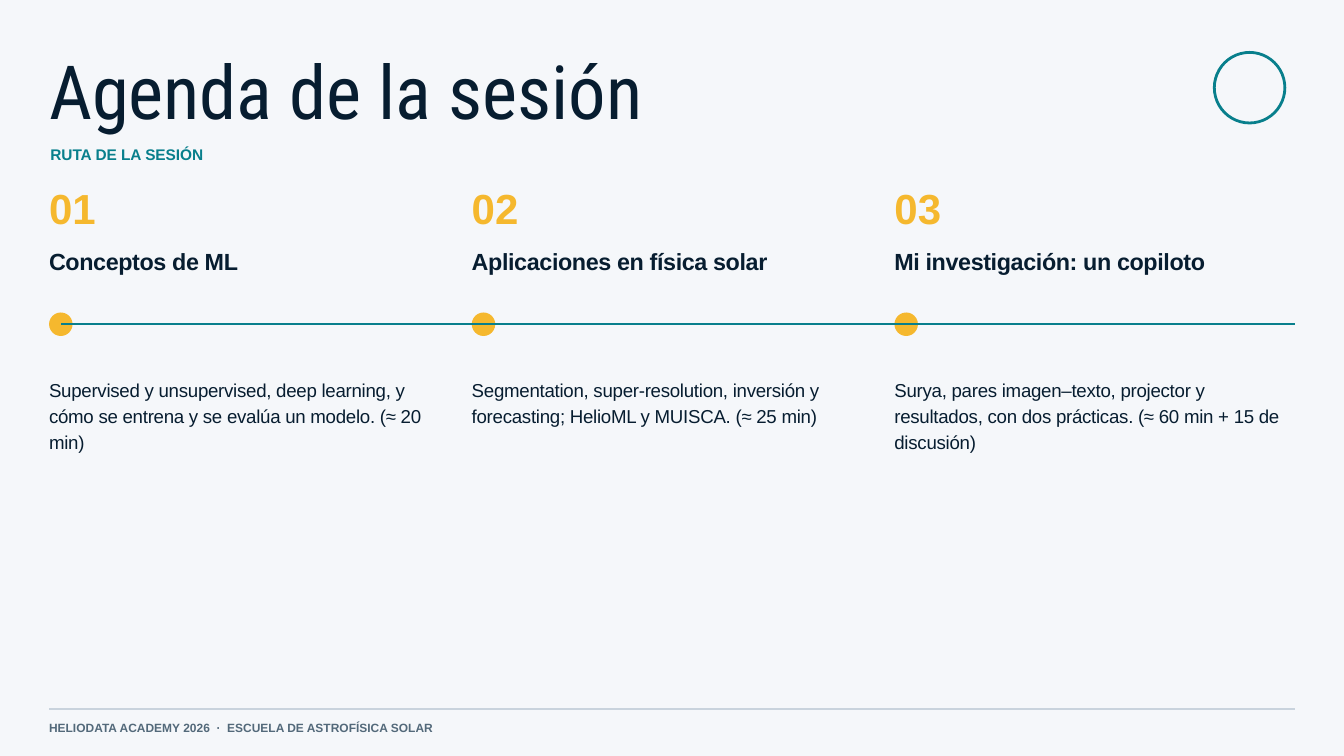
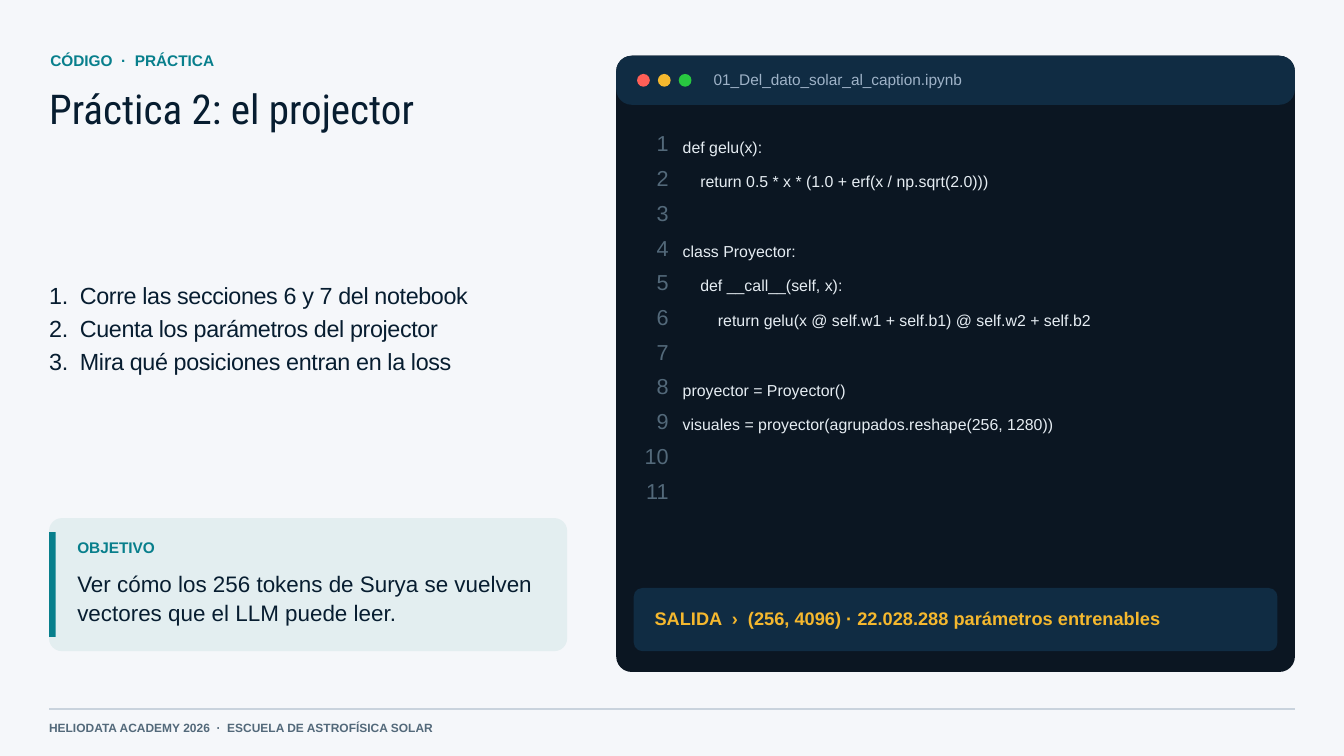
from lxml import etree
from pptx import Presentation, util as u
from pptx.dml.color import RGBColor
from pptx.enum import shapes, text
from pptx.oxml import ns

NAVY, TEAL, AMBER, SLATE = "071D30", "087F8C", "F5B82E", "53697A"
PAPER, RULE, MIST = "F5F7FA", "C9D3DD", "E3EEF0"
EDITOR, PANEL, CODE, FILE = "0B1622", "102C43", "E6EDF3", "9FB3C8"
LEFT, RIGHT = 0.73, 19.27
TITLE_FONT = "Roboto Condensed"


def color(value):
    return RGBColor.from_string(value)


def write(paragraph, content, size=20, fill=NAVY, font="Arial", bold=False, line=None,
          spacing=0, align=None, before=0, number_indent=0):
    if number_indent:
        properties = paragraph._p.get_or_add_pPr()
        indent = u.Inches(number_indent)
        properties.set("marL", str(indent))
        properties.set("indent", str(-indent))
        etree.SubElement(properties, ns.qn("a:buAutoNum"), type="arabicPeriod")
    paragraph.alignment = align
    paragraph.line_spacing = u.Pt(line or size * 1.4)
    if before:
        paragraph.space_before = u.Pt(before)
    run = paragraph.add_run()
    run.text = content
    run.font.size = u.Pt(size)
    run.font.name = font
    run.font.bold = bold
    run.font.color.rgb = color(fill)
    if spacing:
        run._r.get_or_add_rPr().set("spc", str(round(spacing * 100)))


class Deck:
    """Holds the shared style and the current slide."""

    def __init__(self):
        self.presentation = Presentation()
        self.presentation.slide_width = u.Inches(20)
        self.presentation.slide_height = u.Inches(11.25)
        self.slide = None

    def new_slide(self):
        self.slide = self.presentation.slides.add_slide(self.presentation.slide_layouts[6])
        background = self.slide.background.fill
        background.solid()
        background.fore_color.rgb = color(PAPER)
        self.line(LEFT, 10.55, RIGHT, RULE, 1.5)
        self.text("HELIODATA ACADEMY 2026  ·  ESCUELA DE ASTROFÍSICA SOLAR",
                  LEFT, 10.69, 10.42, 0.25, size=12.8, fill=SLATE, bold=True)

    def text(self, lines, left, top, width, height, **style):
        box = self.slide.shapes.add_textbox(*map(u.Inches, (left, top, width, height)))
        frame = box.text_frame
        frame.word_wrap = True
        frame.auto_size = text.MSO_AUTO_SIZE.SHAPE_TO_FIT_TEXT
        frame.margin_left = frame.margin_right = frame.margin_top = frame.margin_bottom = 0
        gap = 0
        first = True
        for content in [lines] if isinstance(lines, str) else lines:
            if not content:
                gap += style["line"]
                continue
            paragraph = frame.paragraphs[0] if first else frame.add_paragraph()
            write(paragraph, content, before=gap, **style)
            first, gap = False, 0

    def title(self, content, top, height, size, line):
        self.text(content, LEFT, top, 18.54 if size > 50 else 7.53, height,
                  size=size, line=line, font=TITLE_FONT)

    def label(self, content, left, top, width):
        self.text(content, left, top, width, 0.33, size=16.5, fill=TEAL, bold=True)

    def shape(self, kind, left, top, width, height, fill=None, outline=None):
        shape = self.slide.shapes.add_shape(kind, *map(u.Inches, (left, top, width, height)))
        shape.shadow.inherit = False
        if fill:
            shape.fill.solid()
            shape.fill.fore_color.rgb = color(fill)
        else:
            shape.fill.background()
        if outline:
            shape.line.color.rgb = color(outline)
            shape.line.width = u.Pt(3)
        else:
            shape.line.fill.background()
        return shape

    def dot(self, left, top, size, fill):
        self.shape(shapes.MSO_SHAPE.OVAL, left, top, size, size, fill)

    def panel(self, left, top, width, height, fill, radius):
        panel = self.shape(shapes.MSO_SHAPE.ROUNDED_RECTANGLE, left, top, width, height, fill)
        panel.adjustments[0] = radius / min(width, height)

    def line(self, start, top, end, fill, weight):
        connector = self.slide.shapes.add_connector(
            shapes.MSO_CONNECTOR.STRAIGHT, *map(u.Inches, (start, top, end, top)))
        connector.line.color.rgb = color(fill)
        connector.line.width = u.Pt(weight)
        etree.SubElement(connector._element.spPr, ns.qn("a:effectLst"))


def build_agenda(deck):
    deck.new_slide()
    deck.title("Agenda de la sesión", 0.89, 1.17, 80, 80)
    deck.label("RUTA DE LA SESIÓN", 0.75, 2.12, 8.33)
    deck.shape(shapes.MSO_SHAPE.OVAL, 18.07, 0.78, 1.05, 1.05, outline=TEAL)
    stages = [
        ("Conceptos de ML", "Supervised y unsupervised, deep learning, y cómo se entrena "
         "y se evalúa un modelo. (≈ 20 min)"),
        ("Aplicaciones en física solar", "Segmentation, super-resolution, inversión y "
         "forecasting; HelioML y MUISCA. (≈ 25 min)"),
        ("Mi investigación: un copiloto", "Surya, pares imagen–texto, projector y "
         "resultados, con dos prácticas. (≈ 60 min + 15 de discusión)"),
    ]
    for index, (heading, summary) in enumerate(stages):
        left = LEFT + 6.29 * index
        deck.text(f"{index + 1:02}", left, 2.59, 2.08, 0.86, size=45, fill=AMBER, bold=True)
        deck.text(heading, left, 3.68, 5.96, 0.43, size=25, line=30, bold=True, spacing=-0.4)
        deck.dot(left, 4.65, 0.35, AMBER)
        deck.text(summary, left, 5.58, 5.96, 0.76, spacing=-0.3)
    deck.line(0.91, 4.82, RIGHT, TEAL, 2.25)


def build_practice(deck):
    deck.new_slide()
    deck.label("CÓDIGO  ·  PRÁCTICA", 0.75, 0.72, 7.29)
    deck.title("Práctica 2: el projector", 1.3, 0.95, 44, 48.4)
    deck.text(["Corre las secciones 6 y 7 del notebook", "Cuenta los parámetros del projector",
               "Mira qué posiciones entran en la loss"],
              LEFT, 4.12, 7.53, 1.41, size=25, spacing=-0.4, number_indent=0.46)

    deck.panel(LEFT, 7.71, 7.71, 1.98, MIST, 0.19)
    deck.shape(shapes.MSO_SHAPE.RECTANGLE, LEFT, 7.92, 0.1, 1.56, TEAL)
    deck.label("OBJETIVO", 1.15, 7.96, 6.25)
    deck.text("Ver cómo los 256 tokens de Surya se vuelven vectores que el LLM puede leer.",
              1.15, 8.45, 7.08, 0.44, size=24, line=31.2)

    deck.panel(9.17, 0.83, 10.1, 9.17, EDITOR, 0.23)
    deck.panel(9.17, 0.83, 10.1, 0.73, PANEL, 0.23)
    for index, fill in enumerate(("FF5F57", AMBER, "28C840")):
        deck.dot(9.48 + 0.31 * index, 1.1, 0.19, fill)
    deck.text("01_Del_dato_solar_al_caption.ipynb", 10.62, 0.99, 6.25, 0.33,
              size=16.5, fill=FILE)
    deck.text([str(number) for number in range(1, 12)], 9.43, 1.81, 0.52, 5.6,
              size=23.2, fill=SLATE, line=37.2, align=text.PP_ALIGN.RIGHT)
    code = [
        "def gelu(x):",
        "    return 0.5 * x * (1.0 + erf(x / np.sqrt(2.0)))",
        "",
        "class Proyector:",
        "    def __call__(self, x):",
        "        return gelu(x @ self.w1 + self.b1) @ self.w2 + self.b2",
        "",
        "proyector = Proyector()",
        "visuales = proyector(agrupados.reshape(256, 1280))",
    ]
    deck.text(code, 10.16, 1.81, 8.85, 5.6, size=17, fill=CODE, line=37.2)
    deck.panel(9.43, 8.75, 9.58, 0.94, PANEL, 0.13)
    deck.text("SALIDA  ›  (256, 4096) · 22.028.288 parámetros entrenables",
              9.74, 8.98, 9.17, 0.38, size=19.5, fill=AMBER, bold=True)


def main():
    deck = Deck()
    build_agenda(deck)
    build_practice(deck)
    deck.presentation.save("out.pptx")


if __name__ == "__main__":
    main()
